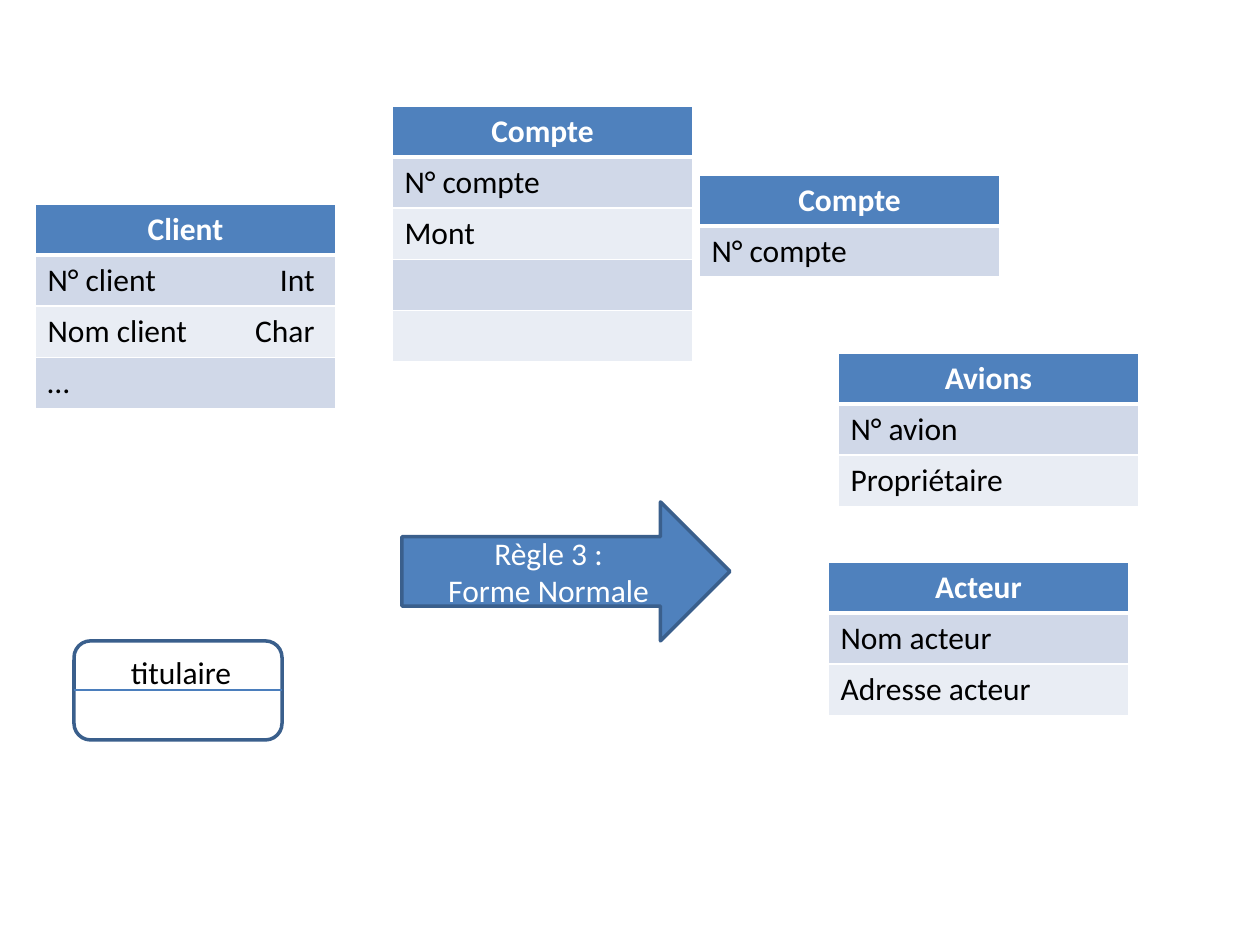
from lxml import etree
from pptx import Presentation
from pptx.dml.color import RGBColor
from pptx.enum.shapes import MSO_CONNECTOR, MSO_SHAPE
from pptx.enum.text import MSO_ANCHOR, PP_ALIGN
from pptx.oxml.ns import qn
from pptx.util import Pt

EMU_PER_PX = 914400 // 126
SLIDE_SIZE = (1260, 945)
FONT, TEXT_SIZE = "Calibri", 18
CENTER, MIDDLE = PP_ALIGN.CENTER, MSO_ANCHOR.MIDDLE
ARROW, ROUNDED = MSO_SHAPE.RIGHT_ARROW, MSO_SHAPE.ROUNDED_RECTANGLE
STRAIGHT = MSO_CONNECTOR.STRAIGHT
BLANK_LAYOUT = 6
COLORS = {
    "header": "4F81BD",
    "odd_row": "D0D8E8",
    "even_row": "E9EDF4",
    "outline": "3A5F8C",
    "divider": "4B7EBC",
    "white": "FFFFFF",
    "black": "000000",
}
TABLE_WIDTH, ROW_HEIGHT, TYPE_TAB = 301, 51, 267
ENTITIES = [
    (35, 204, ["Client", "N° client\tInt", "Nom client\tChar", "…"]),
    (699, 175, ["Compte", "N° compte"]),
    (828, 562, ["Acteur", "Nom acteur", "Adresse acteur"]),
    (838, 353, ["Avions", "N° avion", "Propriétaire"]),
    (392, 106, ["Compte", "N° compte", "Mont", "", ""]),
]


def px(*lengths):
    """Turn pixel lengths into EMU."""
    return [length * EMU_PER_PX for length in lengths]


def rgb(name):
    """Look up a named colour."""
    return RGBColor.from_string(COLORS[name])


def style_text(frame, color, bold=False, align=None):
    """Format every paragraph and run of a text frame."""
    for paragraph in frame.paragraphs:
        paragraph.alignment = align
        for run in paragraph.runs:
            run.font.name, run.font.size = FONT, Pt(TEXT_SIZE)
            run.font.bold = bold
            run.font.color.rgb = rgb(color)


def add_right_tab(paragraph, position):
    """Give a paragraph one right-aligned tab stop."""
    stops = etree.SubElement(paragraph._p.get_or_add_pPr(), qn("a:tabLst"))
    etree.SubElement(stops, qn("a:tab"), pos=str(px(position)[0]), algn="r")


def set_borders(cell, widths):
    """Draw white cell borders with the given widths in points."""
    properties = cell._tc.get_or_add_tcPr()
    for side, width in widths.items():
        border = etree.SubElement(properties, qn(f"a:ln{side}"), w=str(Pt(width)))
        fill = etree.SubElement(border, qn("a:solidFill"))
        etree.SubElement(fill, qn("a:srgbClr"), val=COLORS["white"])


def add_entity(slide, left, top, rows):
    """Add a one-column table: entity name, then its attributes."""
    box = px(left, top, TABLE_WIDTH, ROW_HEIGHT * len(rows))
    table = slide.shapes.add_table(len(rows), 1, *box).table
    for index, label in enumerate(rows):
        cell = table.cell(index, 0)
        is_header = index == 0
        cell.text_frame.text = label
        if is_header:
            style_text(cell.text_frame, "white", True, CENTER)
            fill = "header"
        else:
            style_text(cell.text_frame, "black")
            fill = "odd_row" if index % 2 else "even_row"
        if "\t" in label:
            add_right_tab(cell.text_frame.paragraphs[0], TYPE_TAB)
        set_borders(cell, {"L": 1, "R": 1, "T": 3 if index == 1 else 1,
                           "B": 3 if is_header else 1})
        cell.fill.solid()
        cell.fill.fore_color.rgb = rgb(fill)


def add_outlined(shapes, kind, box, fill=None):
    """Add a preset shape with the dark blue outline."""
    shape = shapes.add_shape(kind, *px(*box))
    shape.shadow.inherit = False
    if fill:
        shape.fill.solid()
        shape.fill.fore_color.rgb = rgb(fill)
    else:
        shape.fill.background()
    shape.line.color.rgb = rgb("outline")
    shape.line.width = Pt(2)
    return shape


def add_rule_arrow(slide):
    """Add the arrow that names the rule."""
    arrow = add_outlined(slide.shapes, ARROW, (402, 502, 328, 139), "header")
    frame = arrow.text_frame
    frame.text = "Règle 3 :\nForme Normale"
    frame.vertical_anchor = MIDDLE
    style_text(frame, "white", align=CENTER)


def add_association(slide):
    """Add the grouped association box with its name and divider."""
    shapes = slide.shapes.add_group_shape().shapes
    add_outlined(shapes, ROUNDED, (74, 641, 208, 99))
    divider = shapes.add_connector(STRAIGHT, *px(74, 690, 282, 690))
    divider.line.color.rgb = rgb("divider")
    divider.line.width = Pt(0.75)
    etree.SubElement(divider._element.spPr, qn("a:effectLst"))
    frame = shapes.add_textbox(*px(97, 653, 168, 38)).text_frame
    frame.word_wrap = True
    frame.margin_left = frame.margin_right = 0
    frame.margin_top = frame.margin_bottom = 0
    frame.text = "titulaire"
    style_text(frame, "black", align=CENTER)


def main():
    """Build the slide and save it."""
    deck = Presentation()
    deck.slide_width, deck.slide_height = px(*SLIDE_SIZE)
    slide = deck.slides.add_slide(deck.slide_layouts[BLANK_LAYOUT])
    for left, top, rows in ENTITIES:
        add_entity(slide, left, top, rows)
    add_rule_arrow(slide)
    add_association(slide)
    deck.save("out.pptx")


main()
